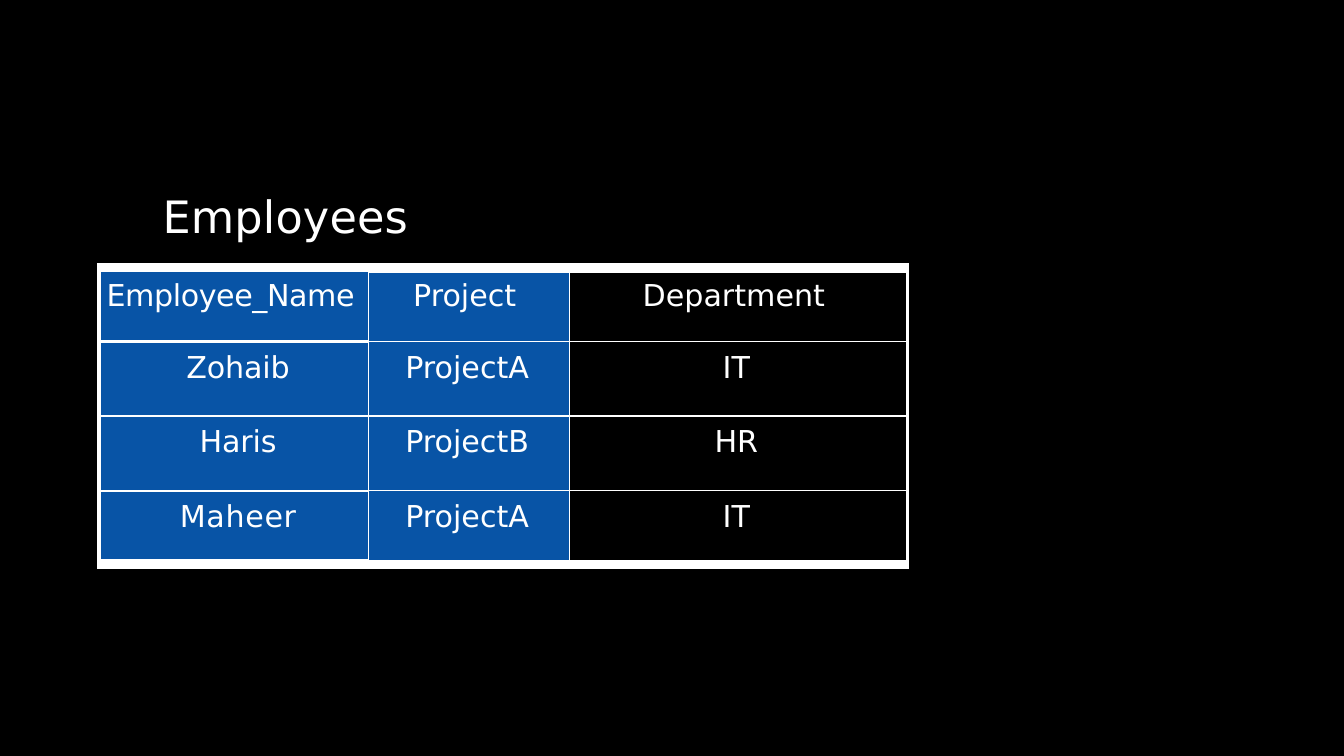
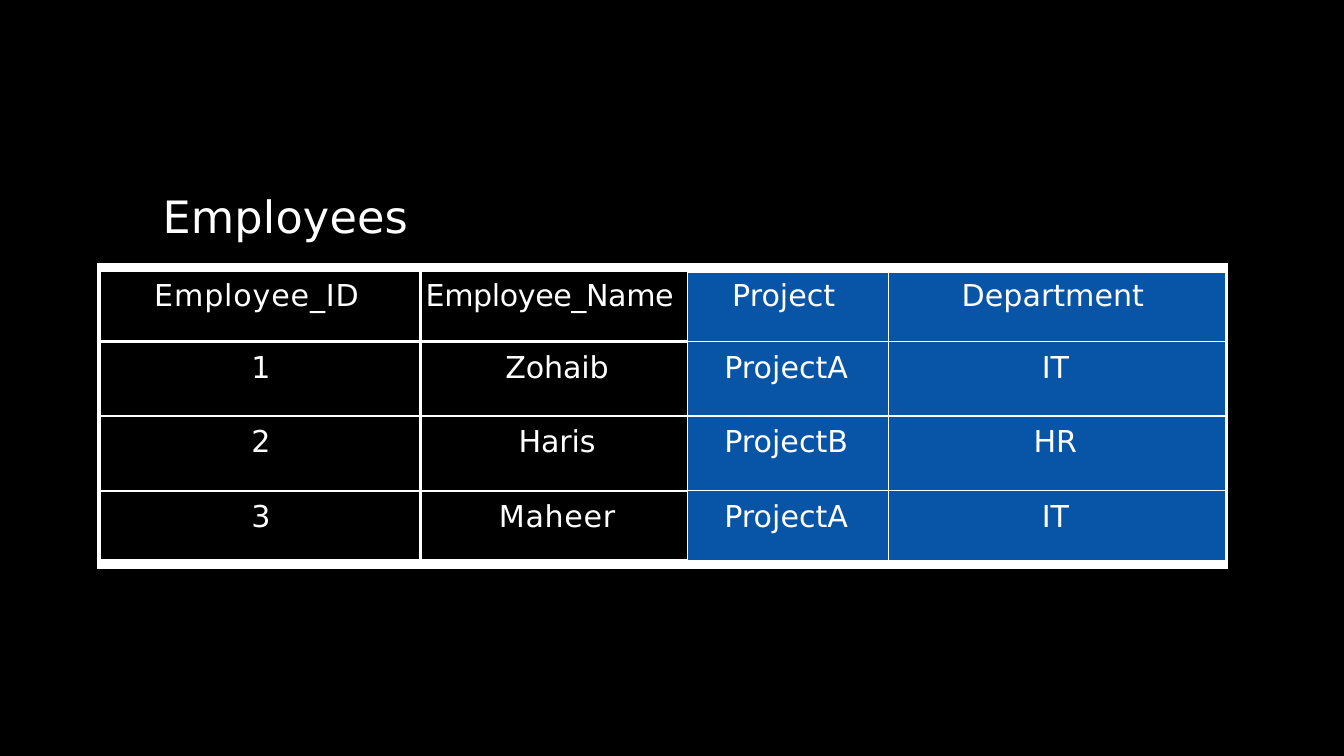
from dataclasses import dataclass

from lxml import etree
from pptx import Presentation, util as u
from pptx.dml.color import RGBColor
from pptx.enum import text
from pptx.oxml.ns import qn


@dataclass(frozen=True)
class Theme:
    font: str = "DejaVu Sans"
    ground: str = "000000"
    ink: str = "FFFFFF"
    highlight: str = "0854A6"
    title_size: float = 52.5
    cell_size: float = 35.5
    thin_rule: float = 2.25
    thick_rule: float = 3
    no_table_style: str = "{2D5ABB26-0587-4C30-8999-92F81FD0307C}"


@dataclass(frozen=True)
class Field:
    entries: tuple[str, ...]
    width: float
    tracking: tuple[float, ...] = (0, 0, 0, 0)
    is_key: bool = False
    body_indent: float = 0.1
    body_tail: float = 0.16


@dataclass(frozen=True)
class View:
    fields: tuple[Field, ...]
    highlighted: frozenset[Field]


THEME = Theme()
SLIDE_WIDTH, SLIDE_HEIGHT = u.Inches(21.99), u.Inches(12.37)
FRAME_LEFT, FRAME_RIGHT, FRAME_EDGE = 0.36, 0.14, 1.21
OUTER_ROW, INNER_ROW = 9.22, 9.86
ROW_SHARES = (FRAME_EDGE, OUTER_ROW, INNER_ROW, INNER_ROW, OUTER_ROW, FRAME_EDGE)
HEADER_TAIL = 0.16

EMPLOYEE_ID = Field(("Employee_ID", "1", "2", "3"), 23.74, (1, 0, 0, 0),
                    is_key=True, body_indent=0, body_tail=0)
EMPLOYEE_NAME = Field(("Employee_Name", "Zohaib", "Haris", "Maheer"), 19.87,
                      (-0.5, -0.2, -0.2, 0.8), is_key=True, body_tail=0)
PROJECT = Field(("Project", "ProjectA", "ProjectB", "ProjectA"), 14.96)
DEPARTMENT = Field(("Department", "IT", "HR", "IT"), 25.1)

VIEWS = (
    View((EMPLOYEE_NAME, PROJECT, DEPARTMENT), frozenset({EMPLOYEE_NAME, PROJECT})),
    View((EMPLOYEE_ID, EMPLOYEE_NAME, PROJECT, DEPARTMENT), frozenset({PROJECT, DEPARTMENT})),
)


def across(percent: float) -> int:
    return round(SLIDE_WIDTH * percent / 100)


def down(percent: float) -> int:
    return round(SLIDE_HEIGHT * percent / 100)


def paint(fill, colour: str) -> None:
    fill.solid()
    fill.fore_color.rgb = RGBColor.from_string(colour)


def write(paragraph, words: str, size: float, tracking: float) -> None:
    run = paragraph.add_run()
    run.text = words
    run.font.name = THEME.font
    run.font.size = u.Pt(size)
    run.font.color.rgb = RGBColor.from_string(THEME.ink)
    run.font._element.set("spc", str(round(tracking * 100)))


def set_margins(holder, left: float = 0, top: float = 0, right: float = 0) -> None:
    holder.margin_left, holder.margin_top = u.Inches(left), u.Inches(top)
    holder.margin_right, holder.margin_bottom = u.Inches(right), 0


def draw_title(slide, words: str) -> None:
    title = slide.shapes.add_textbox(across(12.05), down(24.66), across(18.6), down(7.28))
    frame = title.text_frame
    frame.word_wrap = True
    set_margins(frame, left=0.01, top=0.05)
    write(frame.paragraphs[0], words, THEME.title_size, 0.3)


def rule_cell(cell, widths: dict[str, float]) -> None:
    properties = cell._tc.get_or_add_tcPr()
    for side, width in widths.items():
        if width:
            rule = etree.SubElement(properties, qn(f"a:ln{side}"), w=str(u.Pt(width)))
            solid = etree.SubElement(rule, qn("a:solidFill"))
            etree.SubElement(solid, qn("a:srgbClr"), val=THEME.ink)


def rule_widths(fields: tuple[Field, ...], column: int, row: int) -> dict[str, float]:
    thin, thick = THEME.thin_rule, THEME.thick_rule
    field = fields[column]
    if not field.is_key:
        return dict.fromkeys("LRTB", thin)
    return {
        "L": thick if column > 0 else 0,
        "R": thick if fields[column + 1].is_key else thin,
        "T": thick if row > 0 else 0,
        "B": thick if row < len(field.entries) - 1 else 0,
    }


def draw_frame_cell(cell) -> None:
    set_margins(cell)
    paint(cell.fill, THEME.ink)
    etree.SubElement(cell.text_frame.paragraphs[0]._p, qn("a:endParaRPr"), sz="100")


def draw_entry(cell, view: View, column: int, row: int) -> None:
    field = view.fields[column]
    rule_cell(cell, rule_widths(view.fields, column, row))
    paint(cell.fill, THEME.highlight if field in view.highlighted else THEME.ground)
    if row == 0:
        set_margins(cell, left=0.02, top=0.1, right=HEADER_TAIL)
    else:
        set_margins(cell, left=field.body_indent, top=0.14, right=field.body_tail)
    paragraph = cell.text_frame.paragraphs[0]
    paragraph.alignment = text.PP_ALIGN.CENTER
    write(paragraph, field.entries[row], THEME.cell_size, field.tracking[row])


def draw_employees(slide, view: View) -> None:
    column_shares = (FRAME_LEFT, *(field.width for field in view.fields), FRAME_RIGHT)
    employees = slide.shapes.add_table(
        len(ROW_SHARES), len(column_shares), across(7.19), down(34.76),
        across(sum(column_shares)), down(sum(ROW_SHARES))).table
    employees.first_row = employees.horz_banding = False
    employees._tbl.tblPr.find(qn("a:tableStyleId")).text = THEME.no_table_style
    for column, share in zip(employees.columns, column_shares):
        column.width = across(share)
    for row, share in zip(employees.rows, ROW_SHARES):
        row.height = down(share)
    for row in range(len(ROW_SHARES)):
        for column in range(len(column_shares)):
            cell = employees.cell(row, column)
            if 0 < row < len(ROW_SHARES) - 1 and 0 < column < len(column_shares) - 1:
                draw_entry(cell, view, column - 1, row - 1)
            else:
                draw_frame_cell(cell)


def main() -> None:
    deck = Presentation()
    deck.slide_width, deck.slide_height = SLIDE_WIDTH, SLIDE_HEIGHT
    paint(deck.slide_master.background.fill, THEME.ground)
    for view in VIEWS:
        slide = deck.slides.add_slide(deck.slide_layouts[6])
        draw_employees(slide, view)
        draw_title(slide, "Employees")
    deck.save("out.pptx")


if __name__ == "__main__":
    main()
